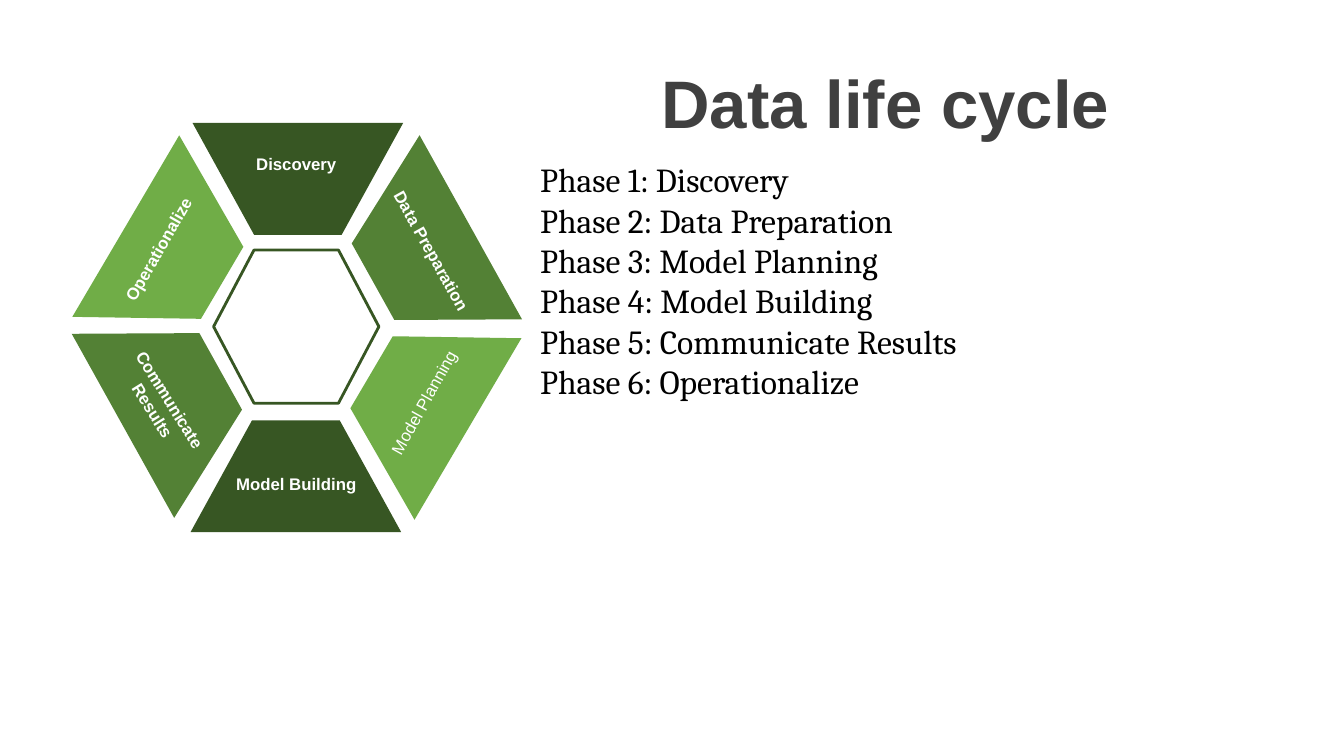
from dataclasses import dataclass

import pptx
import pptx.util
from pptx.dml.color import RGBColor
from pptx.enum.shapes import MSO_SHAPE
from pptx.enum.text import MSO_ANCHOR, MSO_AUTO_SIZE, PP_ALIGN
from pptx.shapes.autoshape import Shape
from pptx.slide import Slide

Pt = pptx.util.Pt

DARK_GREEN = RGBColor(0x37, 0x56, 0x23)
MID_GREEN = RGBColor(0x53, 0x81, 0x35)
LIGHT_GREEN = RGBColor(0x70, 0xAD, 0x47)
WHITE = RGBColor(0xFF, 0xFF, 0xFF)
BLACK = RGBColor(0, 0, 0)
TITLE_GREY = RGBColor(0x40, 0x40, 0x40)

SEGMENT_WIDTH, SEGMENT_HEIGHT = 150.5, 79.9
LABEL_WIDTH, LABEL_HEIGHT = 111, 21.6


@dataclass(frozen=True)
class Box:
    left: float
    top: float
    width: float
    height: float
    rotation: float = 0


@dataclass(frozen=True)
class Phase:
    name: str
    color: RGBColor
    segment: Box
    label: Box
    slant: float = 0.55
    bold: bool = True


def segment_box(left: float, top: float, rotation: float = 0) -> Box:
    return Box(left, top, SEGMENT_WIDTH, SEGMENT_HEIGHT, rotation)


def label_box(left: float, top: float, rotation: float = 0,
              height: float = LABEL_HEIGHT) -> Box:
    return Box(left, top, LABEL_WIDTH, height, rotation)


# Phases in clockwise order from the top of the ring
PHASES = [
    Phase("Discovery", DARK_GREEN,
          segment_box(137.5, 87.8, 180), label_box(156.2, 106.6)),
    Phase("Data Preparation", MID_GREEN,
          segment_box(226.1, 141.8, 240.9), label_box(252.7, 168.5, 61)),
    Phase("Model Planning", LIGHT_GREEN,
          segment_box(224.6, 246.2, 300.5), label_box(247, 276.5, 299),
          slant=0.568, bold=False),
    Phase("Model Building", DARK_GREEN,
          segment_box(136.1, 300.2), label_box(156.2, 334.8)),
    Phase("Communicate Results", MID_GREEN,
          segment_box(47.5, 244.8, 60.9), label_box(59.8, 271.4, 58.1, 36)),
    Phase("Operationalize", LIGHT_GREEN,
          segment_box(49, 141.8, 120.5), label_box(57.6, 167, 299.9),
          slant=0.568),
]
HEXAGON = Box(152.6, 178.6, 118.1, 109.4)
TITLE = Box(360, 39.6, 545, 65.5)
PHASE_LIST = Box(378.7, 110.2, 315.4, 211)


def add_outline(slide: Slide, kind: MSO_SHAPE, box: Box, fill: RGBColor,
                adjustment: float) -> Shape:
    shape = slide.shapes.add_shape(
        kind, Pt(box.left), Pt(box.top), Pt(box.width), Pt(box.height))
    shape.rotation = box.rotation
    shape.adjustments[0] = adjustment
    shape.shadow.inherit = False
    shape.fill.solid()
    shape.fill.fore_color.rgb = fill
    shape.line.fill.background()
    return shape


def add_text(slide: Slide, box: Box, lines: list[str], color: RGBColor,
             font_format: dict, alignment: PP_ALIGN = PP_ALIGN.CENTER,
             anchor: MSO_ANCHOR = MSO_ANCHOR.TOP, wrap: bool = True) -> None:
    shape = slide.shapes.add_textbox(
        Pt(box.left), Pt(box.top), Pt(box.width), Pt(box.height))
    shape.rotation = box.rotation
    frame = shape.text_frame
    frame.word_wrap = wrap
    frame.auto_size = MSO_AUTO_SIZE.SHAPE_TO_FIT_TEXT
    frame.vertical_anchor = anchor
    frame.text = "\n".join(lines)
    for paragraph in frame.paragraphs:
        paragraph.alignment = alignment
        for run in paragraph.runs:
            run.font.color.rgb = color
            for name, value in font_format.items():
                setattr(run.font, name, value)


def main() -> None:
    presentation = pptx.Presentation()
    presentation.slide_width = Pt(960)
    presentation.slide_height = Pt(540)
    slide = presentation.slides.add_slide(presentation.slide_layouts[6])

    # Ring of segments around the hexagon
    for phase in PHASES:
        add_outline(slide, MSO_SHAPE.TRAPEZOID, phase.segment, phase.color,
                    phase.slant)
    hexagon = add_outline(slide, MSO_SHAPE.HEXAGON, HEXAGON, WHITE, 0.264)
    hexagon.line.color.rgb = DARK_GREEN
    hexagon.line.width = Pt(2)

    # Title
    add_text(slide, TITLE, ["Data life cycle"], TITLE_GREY,
             {"name": "Arial", "size": Pt(48), "bold": True},
             anchor=MSO_ANCHOR.MIDDLE)

    # Segment labels
    for phase in PHASES:
        add_text(slide, phase.label, [phase.name], WHITE,
                 {"name": "Arial", "size": Pt(12), "bold": phase.bold})

    # Numbered list of phases
    add_text(slide, PHASE_LIST,
             [f"Phase {number}: {phase.name}"
              for number, phase in enumerate(PHASES, start=1)],
             BLACK, {"name": "Cambria", "size": Pt(24)},
             alignment=PP_ALIGN.LEFT, wrap=False)

    presentation.save("out.pptx")


if __name__ == "__main__":
    main()
